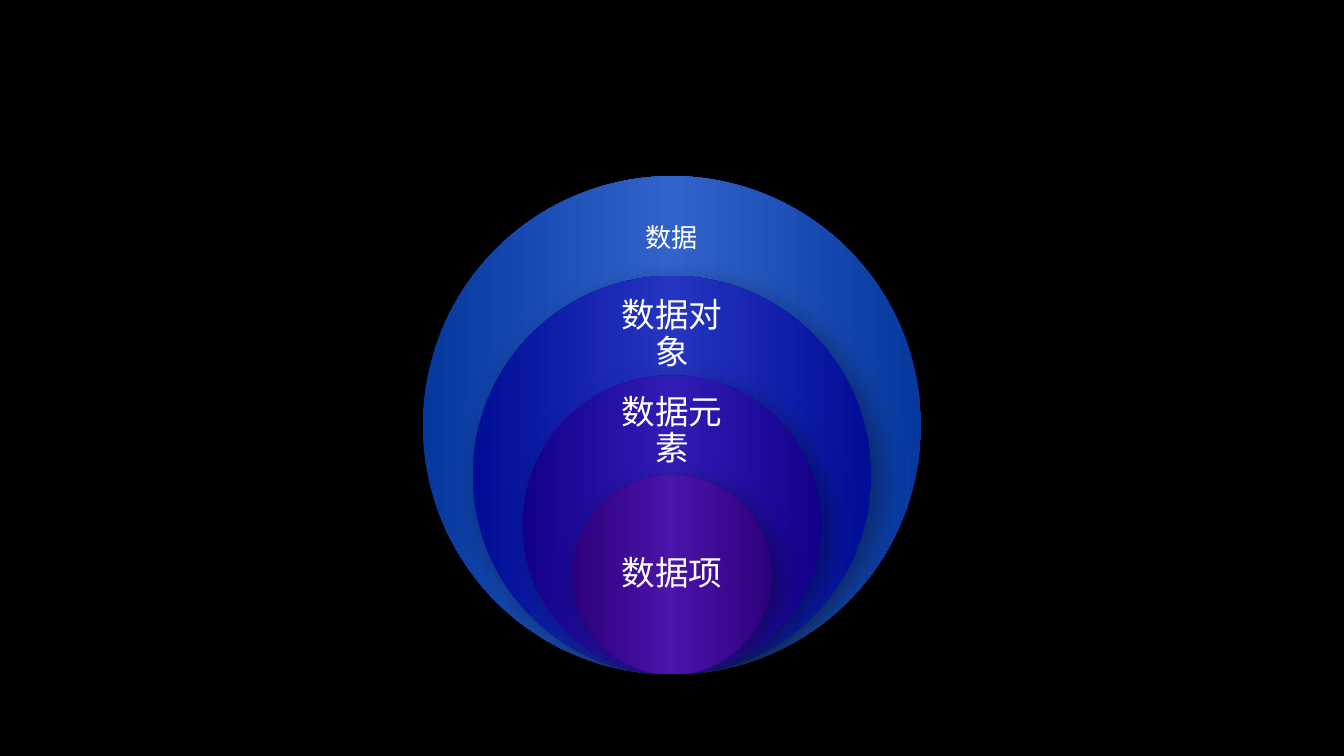
from copy import deepcopy
from dataclasses import dataclass

from lxml import etree
from pptx import Presentation
from pptx.dml.color import RGBColor
from pptx.enum.shapes import MSO_SHAPE as Shape
from pptx.enum.text import MSO_ANCHOR as Anchor, PP_ALIGN as Align
from pptx.oxml.ns import qn
from pptx.slide import Slide
from pptx.util import Cm, Pt

FONT = "Noto Sans CJK SC"
CENTER_X = 12.7
BOTTOM = 12.75
OUTER_DIAMETER = 9.42
SHRINK = 0.2
LABEL_WIDTH = 2.64


@dataclass(frozen=True)
class Level:
    term: str
    edge: str
    middle: str
    label_top: float
    label_height: float
    size: int = 18
    inset: float = 0.36


LEVELS = [
    Level("数据", "07389E", "3163CA", 3.81, 1.42, size=14, inset=0.28),
    Level("数据对象", "000E97", "2635C1", 5.66, 1.35),
    Level("数据元素", "13008A", "311CB6", 7.52, 1.27),
    Level("数据项", "2E007D", "4B14AA", 9.93, 1.88),
]


def color(hex_code: str) -> RGBColor:
    return RGBColor.from_string(hex_code)


def add_shadow(shape) -> None:
    shape.shadow.inherit = False
    effects = shape._element.spPr.find(qn("a:effectLst"))
    outer = etree.SubElement(effects, qn("a:outerShdw"), blurRad=str(Pt(15)),
                             dist=str(Pt(6.2)), dir="2700000", rotWithShape="0")
    black = etree.SubElement(outer, qn("a:srgbClr"), val="000000")
    etree.SubElement(black, qn("a:alpha"), val="36000")


def add_circle(slide: Slide, level: Level, diameter: float) -> None:
    circle = slide.shapes.add_shape(
        Shape.OVAL, Cm(CENTER_X - diameter / 2), Cm(BOTTOM - diameter),
        Cm(diameter), Cm(diameter))
    circle.line.fill.background()
    circle.fill.gradient()
    circle.fill.gradient_angle = 0
    stop_list = circle._element.spPr.find(".//" + qn("a:gsLst"))
    stop_list.append(deepcopy(stop_list[0]))
    hues = (level.edge, level.middle, level.edge)
    for stop, hue, position in zip(circle.fill.gradient_stops, hues, (0, 0.5, 1)):
        stop.color.rgb = color(hue)
        stop.position = position
    add_shadow(circle)


def add_label(slide: Slide, level: Level) -> None:
    label = slide.shapes.add_textbox(
        Cm(CENTER_X - LABEL_WIDTH / 2), Cm(level.label_top),
        Cm(LABEL_WIDTH), Cm(level.label_height))
    frame = label.text_frame
    frame.word_wrap = True
    frame.vertical_anchor = Anchor.MIDDLE
    frame.margin_left = frame.margin_right = Cm(level.inset)
    frame.margin_top = frame.margin_bottom = Cm(level.inset)
    paragraph = frame.paragraphs[0]
    paragraph.alignment = Align.CENTER
    paragraph.line_spacing = 0.9
    run = paragraph.add_run()
    run.text = level.term
    run.font.size = Pt(level.size)
    run.font.name = FONT
    run.font.color.rgb = color("FFFFFF")
    etree.SubElement(run.font._element, qn("a:ea"), typeface=FONT)


def main() -> None:
    deck = Presentation()
    deck.slide_width, deck.slide_height = Cm(25.4), Cm(14.29)
    slide = deck.slides.add_slide(deck.slide_layouts[6])
    slide.background.fill.solid()
    slide.background.fill.fore_color.rgb = color("000000")
    for depth, level in enumerate(LEVELS):
        add_circle(slide, level, OUTER_DIAMETER * (1 - SHRINK * depth))
        add_label(slide, level)
    deck.save("out.pptx")


if __name__ == "__main__":
    main()
